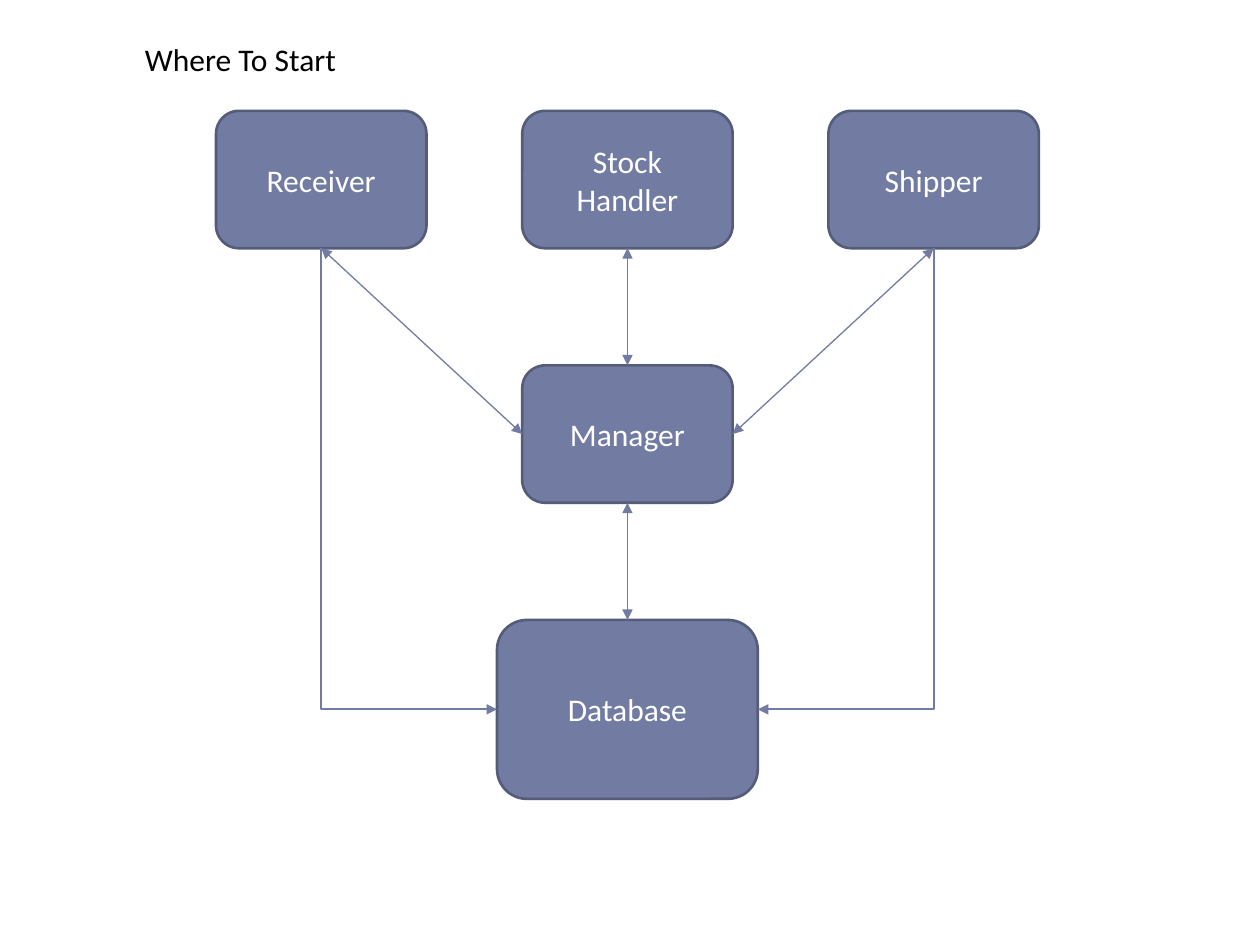
from lxml import etree
from pptx import Presentation
from pptx.dml.color import RGBColor
from pptx.enum.shapes import MSO_CONNECTOR, MSO_SHAPE
from pptx.enum.text import MSO_ANCHOR, PP_ALIGN
from pptx.oxml.ns import qn
from pptx.util import Inches, Pt

ROUNDED = MSO_SHAPE.ROUNDED_RECTANGLE
STRAIGHT, ELBOW = MSO_CONNECTOR.STRAIGHT, MSO_CONNECTOR.ELBOW
MIDDLE = MSO_ANCHOR.MIDDLE
LEFT, CENTER = PP_ALIGN.LEFT, PP_ALIGN.CENTER

SLATE = RGBColor(0x72, 0x7C, 0xA3)
DARK_SLATE = RGBColor(0x54, 0x5C, 0x79)
WHITE = RGBColor(0xFF, 0xFF, 0xFF)
BLACK = RGBColor(0, 0, 0)

# Grid: column centres and row tops, in inches
FIRST_CENTER, COLUMN_STEP = 2.55, 2.43
FIRST_TOP, ROW_STEP = 0.88, 2.02
ROLE_SIZE = (1.67, 1.09)
STORE_SIZE = (2.07, 1.42)

# Connection sites of a rounded rectangle
TOP_SITE, LEFT_SITE, BOTTOM_SITE, RIGHT_SITE = range(4)


class Diagram:
    """Holds the style and the slide, and draws the parts of the diagram."""

    font, size = "Calibri", Pt(18)

    def __init__(self, slide):
        """Keep the slide to draw on."""
        self.slide = slide

    def label(self, shape, text, color, align):
        """Put one styled, vertically centred paragraph in a shape."""
        frame = shape.text_frame
        frame.text = text
        frame.word_wrap = True
        frame.vertical_anchor = MIDDLE
        paragraph = frame.paragraphs[0]
        paragraph.alignment = align
        font = paragraph.runs[0].font
        font.name, font.size, font.color.rgb = self.font, self.size, color

    def title(self, text, left, top, width, height):
        """Place and fill the title placeholder."""
        heading = self.slide.shapes.title
        heading.left, heading.top = Inches(left), Inches(top)
        heading.width, heading.height = Inches(width), Inches(height)
        self.label(heading, text, BLACK, LEFT)

    def box(self, text, column, row, size=ROLE_SIZE):
        """Add a rounded box centred on a column, with its top on a row."""
        width, height = size
        left = FIRST_CENTER + column * COLUMN_STEP - width / 2
        top = FIRST_TOP + row * ROW_STEP
        node = self.slide.shapes.add_shape(
            ROUNDED, Inches(left), Inches(top), Inches(width), Inches(height))
        node.shadow.inherit = False
        node.fill.solid()
        node.fill.fore_color.rgb = SLATE
        node.line.color.rgb = DARK_SLATE
        node.line.width = Pt(1.5)
        self.label(node, text, WHITE, CENTER)
        return node

    def link(self, start, start_site, end, end_site, weight=1,
             kind=STRAIGHT, ends=("headEnd", "tailEnd")):
        """Join two boxes with a line that carries arrowheads."""
        line = self.slide.shapes.add_connector(kind, 0, 0, 0, 0)
        line.begin_connect(start, start_site)
        line.end_connect(end, end_site)
        line.line.color.rgb = SLATE
        line.line.width = Pt(weight)
        properties = line._element.spPr
        outline = properties.find(qn("a:ln"))
        for end_name in ends:
            etree.SubElement(outline, qn("a:" + end_name), type="triangle")
        etree.SubElement(properties, qn("a:effectLst"))
        return line

    def down_and_across(self, start, end, end_site):
        """Join two boxes with one bend: first down, then sideways."""
        line = self.link(start, BOTTOM_SITE, end, end_site,
                         kind=ELBOW, ends=("tailEnd",))
        rightward = line.end_x > line.begin_x
        center_x = line.left + line.width // 2
        center_y = line.top + line.height // 2
        line.width, line.height = line.height, line.width
        line.left = center_x - line.width // 2
        line.top = center_y - line.height // 2
        properties = line._element.spPr
        properties.find(qn("a:prstGeom")).set("prst", "bentConnector2")
        frame = properties.find(qn("a:xfrm"))
        frame.set("rot", str((270 if rightward else 90) * 60000))
        frame.set("flipH", "1" if rightward else "0")


def main():
    """Build the slide and save it."""
    deck = Presentation()
    deck.slide_width, deck.slide_height = Inches(10), Inches(7.5)
    diagram = Diagram(deck.slides.add_slide(deck.slide_layouts[5]))
    diagram.title("Where To Start", 1.05, 0.27, 2.2, 0.4)

    database = diagram.box("Database", 1, 2, STORE_SIZE)
    manager = diagram.box("Manager", 1, 1)
    receiver, handler, shipper = [
        diagram.box(role, column, 0)
        for column, role in enumerate(("Receiver", "Stock Handler", "Shipper"))]

    for upper, lower in ((manager, database), (handler, manager)):
        diagram.link(upper, BOTTOM_SITE, lower, TOP_SITE)
    for role, side in ((receiver, LEFT_SITE), (shipper, RIGHT_SITE)):
        diagram.down_and_across(role, database, side)
        diagram.link(role, BOTTOM_SITE, manager, side, weight=0.75)

    deck.save("out.pptx")


main()
